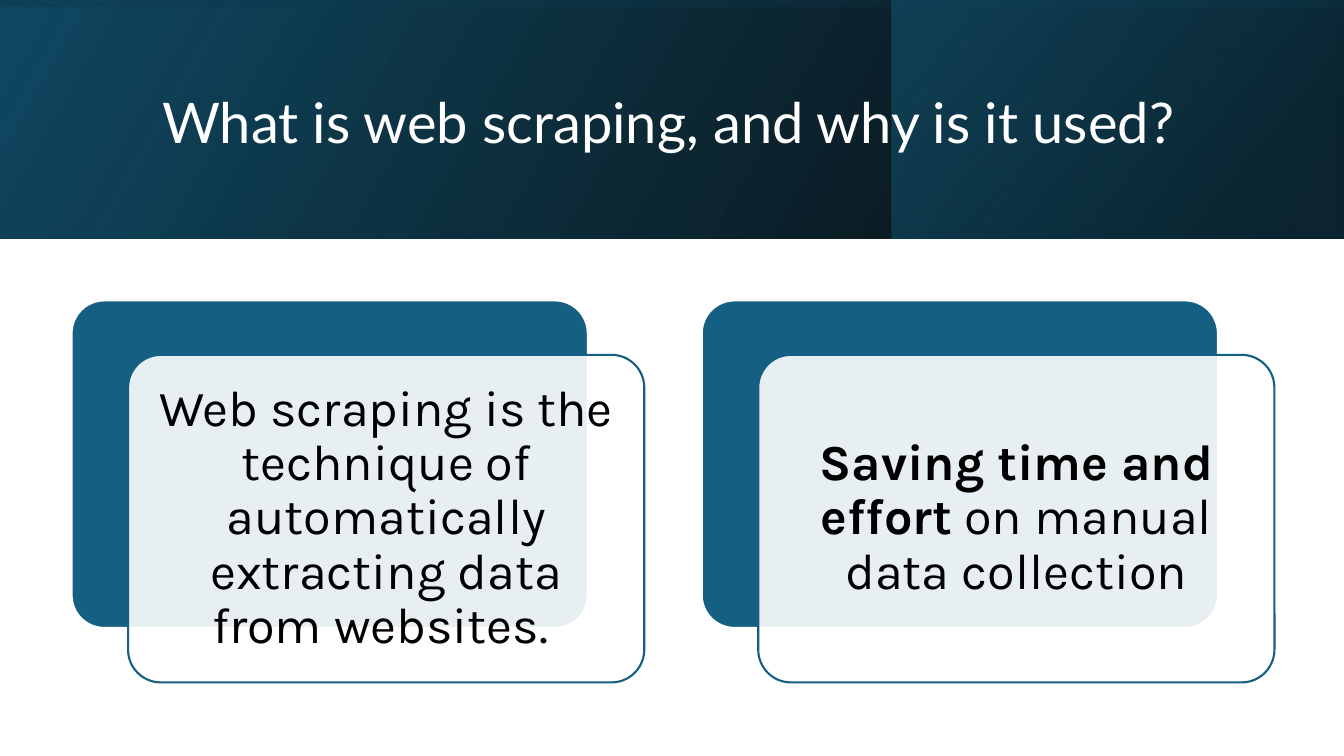
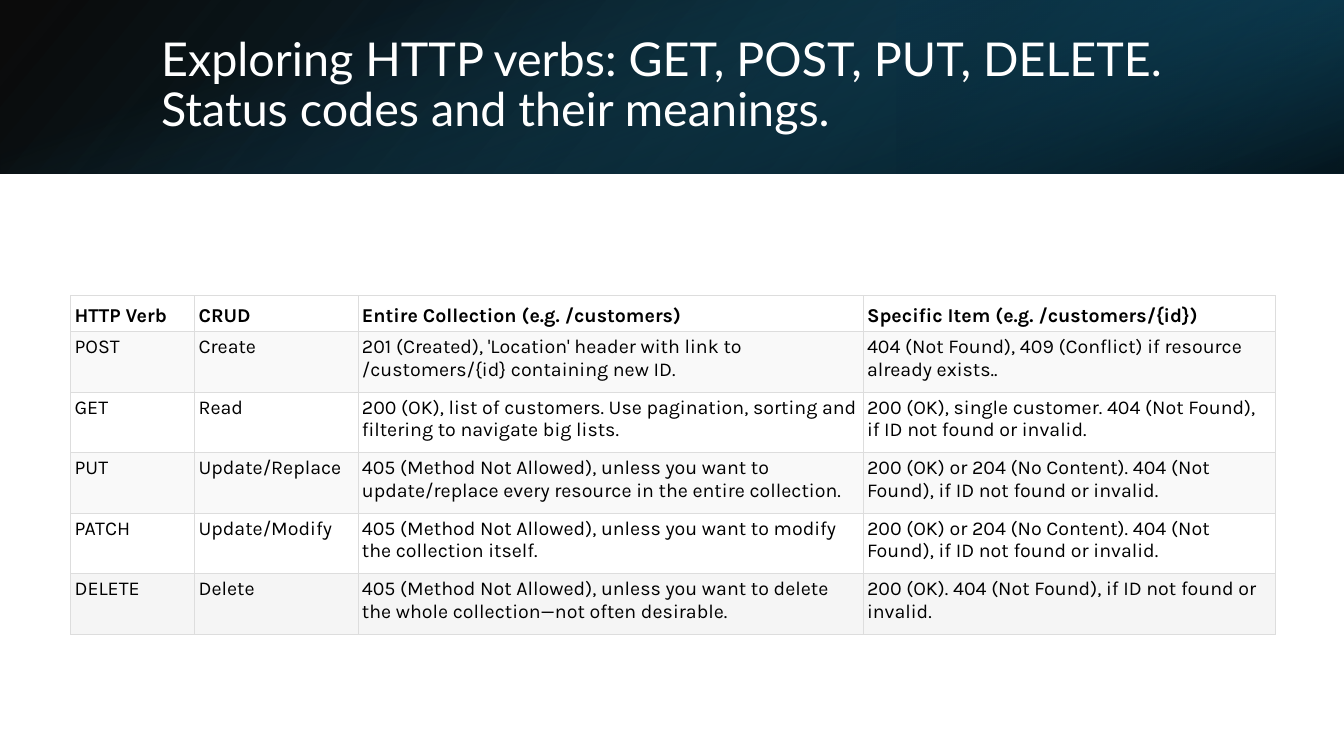
from lxml.etree import SubElement
from pptx import Presentation
from pptx.dml.color import RGBColor
from pptx.enum.shapes import MSO_SHAPE
from pptx.enum.text import MSO_ANCHOR, PP_ALIGN
from pptx.oxml.ns import qn
from pptx.util import Inches, Pt

BLACK = RGBColor(0x00, 0x00, 0x00)
WHITE = RGBColor(0xFF, 0xFF, 0xFF)
TEAL = RGBColor(0x15, 0x60, 0x82)
DEEP_TEAL = RGBColor(0x10, 0x48, 0x62)
NAVY = RGBColor(0x0B, 0x30, 0x41)
BORDER_GREY = RGBColor(0xDD, 0xDD, 0xDD)
STRIPE_GREY = RGBColor(0xF9, 0xF9, 0xF9)
LAST_GREY = RGBColor(0xF5, 0xF5, 0xF5)

TITLE_FONT = "Lato"
BODY_FONT = "Karla"
SLIDE_WIDTH = 13.33
SLIDE_HEIGHT = 7.5

# Header layers: left, width, rotation, flipped, clockwise gradient angle,
# then stops as (position %, colour, opacity %)
SCRAPING_HEADER = {
    "title": "What is web scraping, and why is it used?",
    "title_box": (1.51, 0.38, 10.63, 1.72),
    "title_size": 40,
    "height": 2.37,
    "layers": [
        (0, SLIDE_WIDTH, 0, True, 330, [(0, BLACK, 96), (100, DEEP_TEAL, 100)]),
        (8.84, 4.48, 0, True, 320, [(19, NAVY, 68), (100, TEAL, 48)]),
        (0, SLIDE_WIDTH, 270, True, 350, [(23, DEEP_TEAL, 16), (99, BLACK, 45)]),
    ],
}
VERBS_HEADER = {
    "title": "Exploring HTTP verbs: GET, POST, PUT, DELETE.\vStatus codes and their meanings.",
    "title_box": (1.5, 0.38, 10.98, 0.96),
    "title_size": 33.3,
    "height": 1.72,
    "layers": [
        (0, SLIDE_WIDTH, 0, True, 140, [(0, BLACK, 96), (100, DEEP_TEAL, 100)]),
        (8.89, 4.44, 180, True, 320, [(19, NAVY, 68), (100, TEAL, 79)]),
        (0, SLIDE_WIDTH, 90, False, 340, [(23, TEAL, 0), (99, BLACK, 74)]),
    ],
}

# Each card is a list of (text, bold) runs
CARDS = [
    [("Web scraping is the technique of automatically extracting data from websites. ", False)],
    [("Saving time and effort", True), ("\u00a0on manual data collection", False)],
]
CARD_LEFT, CARD_TOP = 0.71, 2.98
CARD_WIDTH, CARD_HEIGHT = 5.12, 3.25
CARD_PITCH = 6.25
FRONT_SHIFT_X, FRONT_SHIFT_Y = 0.56, 0.54

VERB_ROWS = [
    ("HTTP Verb", "CRUD", "Entire Collection (e.g. /customers)",
     "Specific Item (e.g. /customers/{id})"),
    ("POST", "Create",
     "201 (Created), 'Location' header with link to /customers/{id} containing new ID.",
     "404 (Not Found), 409 (Conflict) if resource already exists.."),
    ("GET", "Read",
     "200 (OK), list of customers. Use pagination, sorting and filtering to navigate big lists.",
     "200 (OK), single customer. 404 (Not Found), if ID not found or invalid."),
    ("PUT", "Update/Replace",
     "405 (Method Not Allowed), unless you want to update/replace every resource in the entire collection.",
     "200 (OK) or 204 (No Content). 404 (Not Found), if ID not found or invalid."),
    ("PATCH", "Update/Modify",
     "405 (Method Not Allowed), unless you want to modify the collection itself.",
     "200 (OK) or 204 (No Content). 404 (Not Found), if ID not found or invalid."),
    ("DELETE", "Delete",
     "405 (Method Not Allowed), unless you want to delete the whole collection—not often desirable.",
     "200 (OK). 404 (Not Found), if ID not found or invalid."),
]
TABLE_LEFT, TABLE_TOP = 0.7, 2.93
COLUMN_WIDTHS = [1.23, 1.62, 5.01, 4.09]
HEADING_HEIGHT, ROW_HEIGHT = 0.36, 0.6
CELL_MARGIN = 0.04


def set_opacities(shape, opacities):
    """Give the colours of the shape, in order, these opacities in percent."""
    colors = shape._element.spPr.iter(qn("a:srgbClr"))
    for color, opacity in zip(colors, opacities):
        if opacity < 100:
            SubElement(color, qn("a:alpha")).set("val", str(opacity * 1000))


def set_margins(target, margin):
    target.margin_left = target.margin_right = Inches(margin)
    target.margin_top = target.margin_bottom = Inches(margin)


def style_run(run, font_name, size, color, bold=False):
    run.font.name = font_name
    run.font.size = Pt(size)
    run.font.color.rgb = color
    run.font.bold = bold


def add_header_layer(slide, height, layer):
    left, width, rotation, flipped, angle, stops = layer
    top = 0
    if rotation in (90, 270):
        # A quarter turn swaps the sides around the same centre
        left, top = left + (width - height) / 2, (height - width) / 2
        width, height = height, width
    shape = slide.shapes.add_shape(
        MSO_SHAPE.RECTANGLE, Inches(left), Inches(top), Inches(width), Inches(height))
    shape.shadow.inherit = False
    shape.rotation = rotation
    if flipped:
        shape._element.spPr.find(qn("a:xfrm")).set("flipH", "1")
    shape.fill.gradient()
    shape.fill.gradient_angle = 360 - angle
    for gradient_stop, (position, color, _) in zip(shape.fill.gradient_stops, stops):
        gradient_stop.position = position / 100
        gradient_stop.color.rgb = color
    set_opacities(shape, [opacity for _, _, opacity in stops])
    shape.line.fill.background()


def add_header(slide, header):
    for layer in header["layers"]:
        add_header_layer(slide, header["height"], layer)
    title = slide.shapes.add_textbox(*map(Inches, header["title_box"]))
    text_frame = title.text_frame
    text_frame.word_wrap = True
    text_frame.vertical_anchor = MSO_ANCHOR.MIDDLE
    paragraph = text_frame.paragraphs[0]
    paragraph.text = header["title"]
    paragraph.line_spacing = 0.9
    for run in paragraph.runs:
        style_run(run, TITLE_FONT, header["title_size"], WHITE)


def add_card_panel(slide, left, top, fill_color, line_color, opacity=100):
    panel = slide.shapes.add_shape(
        MSO_SHAPE.ROUNDED_RECTANGLE, Inches(left), Inches(top),
        Inches(CARD_WIDTH), Inches(CARD_HEIGHT))
    panel.adjustments[0] = 0.1
    panel.shadow.inherit = False
    panel.fill.solid()
    panel.fill.fore_color.rgb = fill_color
    set_opacities(panel, [opacity])
    panel.line.color.rgb = line_color
    panel.line.width = Pt(1.5)
    return panel


def add_card(slide, left, runs):
    add_card_panel(slide, left, CARD_TOP, TEAL, WHITE)
    front = add_card_panel(
        slide, left + FRONT_SHIFT_X, CARD_TOP + FRONT_SHIFT_Y, WHITE, TEAL, 90)
    text_frame = front.text_frame
    text_frame.word_wrap = True
    text_frame.vertical_anchor = MSO_ANCHOR.MIDDLE
    set_margins(text_frame, 0.15)
    paragraph = text_frame.paragraphs[0]
    paragraph.alignment = PP_ALIGN.CENTER
    paragraph.line_spacing = 0.9
    for text, bold in runs:
        run = paragraph.add_run()
        run.text = text
        style_run(run, BODY_FONT, 36, BLACK, bold)


def add_cell_borders(cell):
    properties = cell._tc.get_or_add_tcPr()
    for side in ("a:lnL", "a:lnR", "a:lnT", "a:lnB"):
        line = SubElement(properties, qn(side))
        line.set("w", str(Pt(0.5)))
        fill = SubElement(line, qn("a:solidFill"))
        SubElement(fill, qn("a:srgbClr")).set("val", str(BORDER_GREY))


def row_color(row_index):
    if row_index == len(VERB_ROWS) - 1:
        return LAST_GREY
    return STRIPE_GREY if row_index % 2 else WHITE


def add_verb_table(slide):
    row_heights = [HEADING_HEIGHT] + [ROW_HEIGHT] * (len(VERB_ROWS) - 1)
    table = slide.shapes.add_table(
        len(VERB_ROWS), len(COLUMN_WIDTHS), Inches(TABLE_LEFT), Inches(TABLE_TOP),
        Inches(sum(COLUMN_WIDTHS)), Inches(sum(row_heights))).table
    for column, width in zip(table.columns, COLUMN_WIDTHS):
        column.width = Inches(width)
    for row, height in zip(table.rows, row_heights):
        row.height = Inches(height)
    for row_index, texts in enumerate(VERB_ROWS):
        is_heading = row_index == 0
        for column_index, text in enumerate(texts):
            cell = table.cell(row_index, column_index)
            add_cell_borders(cell)
            cell.fill.solid()
            cell.fill.fore_color.rgb = row_color(row_index)
            set_margins(cell, CELL_MARGIN)
            cell.vertical_anchor = MSO_ANCHOR.BOTTOM if is_heading else MSO_ANCHOR.TOP
            cell.text_frame.text = text
            style_run(cell.text_frame.paragraphs[0].runs[0], BODY_FONT, 14, BLACK, is_heading)


def main():
    presentation = Presentation()
    presentation.slide_width = Inches(SLIDE_WIDTH)
    presentation.slide_height = Inches(SLIDE_HEIGHT)
    blank_layout = presentation.slide_layouts[6]

    scraping_slide = presentation.slides.add_slide(blank_layout)
    add_header(scraping_slide, SCRAPING_HEADER)
    for index, runs in enumerate(CARDS):
        add_card(scraping_slide, CARD_LEFT + index * CARD_PITCH, runs)

    verbs_slide = presentation.slides.add_slide(blank_layout)
    add_header(verbs_slide, VERBS_HEADER)
    add_verb_table(verbs_slide)

    presentation.save("out.pptx")


if __name__ == "__main__":
    main()
